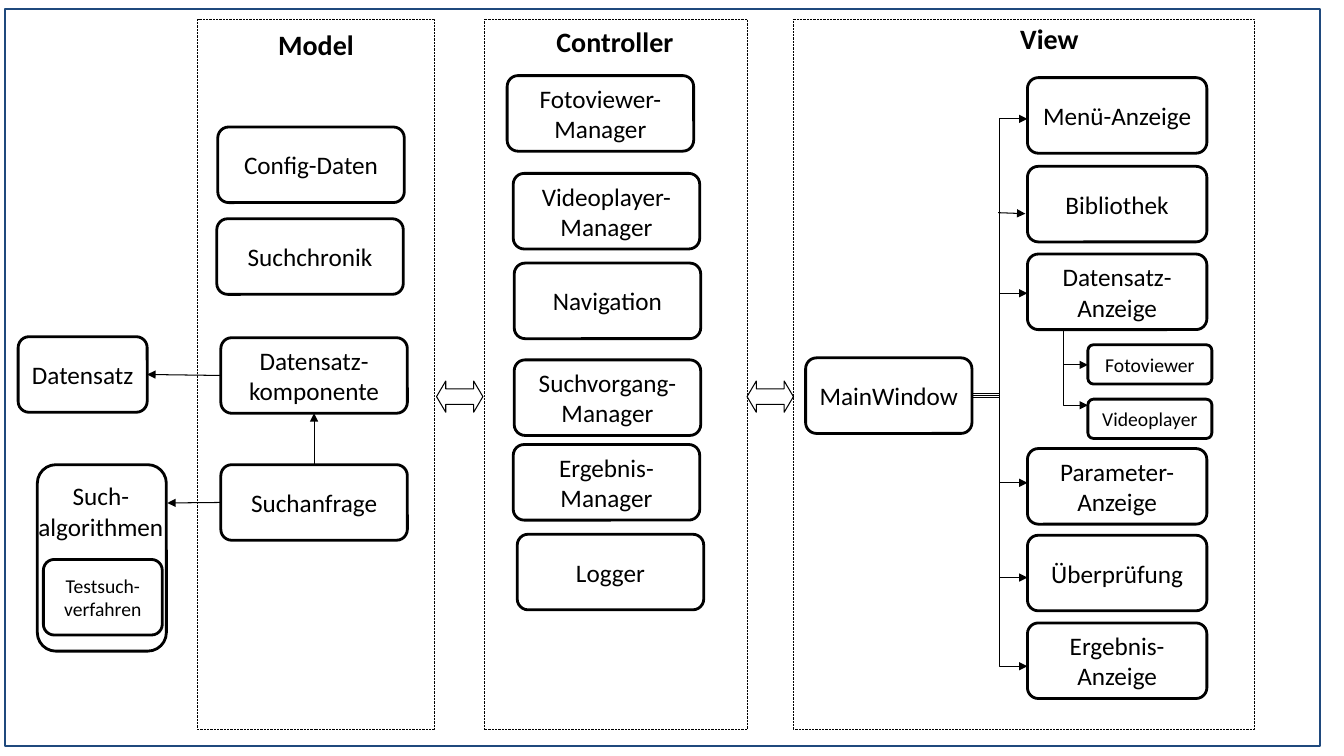
from lxml import etree
from pptx import Presentation
from pptx.dml.color import RGBColor
from pptx.enum.dml import MSO_LINE
from pptx.enum.shapes import MSO_CONNECTOR, MSO_SHAPE
from pptx.enum.text import MSO_ANCHOR, PP_ALIGN
from pptx.oxml.ns import qn
from pptx.util import Inches, Pt

RECT, ROUND = MSO_SHAPE.RECTANGLE, MSO_SHAPE.ROUNDED_RECTANGLE
DOUBLE = MSO_SHAPE.LEFT_RIGHT_ARROW
LINE, ELBOW = MSO_CONNECTOR.STRAIGHT, MSO_CONNECTOR.ELBOW
DOTS, CENTER, LEFT = MSO_LINE.ROUND_DOT, PP_ALIGN.CENTER, PP_ALIGN.LEFT
TOP, MIDDLE = MSO_ANCHOR.TOP, MSO_ANCHOR.MIDDLE
BLACK, WHITE, NAVY = "000000", "FFFFFF", "1F497D"
FONT = "Calibri"

# Content: boxes by group as (width, height, text size, [(text, left, top)])
GROUPS = [
    (1.28, 1.85, 18, [("", 0.37, 4.61)]),
    (1.28, 0.75, 18, [("Datensatz", 0.18, 3.34)]),
    (1.18, 0.75, 14, [("Testsuch-verfahren", 0.43, 5.55)]),
    (1.85, 0.75, 18, [
        ("Config-Daten", 2.16, 1.26),
        ("Suchchronik", 2.15, 2.17),
        ("Datensatz-komponente", 2.19, 3.35),
        ("Suchanfrage", 2.19, 4.61),
        ("Fotoviewer-Manager", 5.03, 0.75),
        ("Videoplayer-Manager", 5.09, 1.72),
        ("Navigation", 5.1, 2.61),
        ("Suchvorgang-Manager", 5.1, 3.57),
        ("Ergebnis-Manager", 5.09, 4.41),
        ("Logger", 5.13, 5.3),
    ]),
    (1.65, 0.75, 18, [("MainWindow", 7.99, 3.55)]),
    (1.78, 0.75, 18, [
        ("Menü-Anzeige", 10.19, 0.77),
        ("Bibliothek", 10.19, 1.65),
        ("Datensatz-Anzeige", 10.19, 2.52),
        ("Parameter-Anzeige", 10.19, 4.45),
        ("Überprüfung", 10.19, 5.31),
        ("Ergebnis-Anzeige", 10.19, 6.18),
    ]),
    (1.23, 0.39, 14, [("Fotoviewer", 10.79, 3.42),
                      ("Videoplayer", 10.79, 3.96)]),
]
PANELS = [(1.96, 2.35), (4.8, 2.61), (7.87, 4.57)]  # left, width
LABELS = [  # text, left, top, width, height, size, bold, alignment
    ("Model", 2.66, 0.22, 1.21, 0.43, 20, True, LEFT),
    ("Controller", 5.42, 0.19, 1.47, 0.43, 20, True, LEFT),
    ("View", 10.02, 0.16, 1.21, 0.43, 20, True, LEFT),
    ("Such-algorithmen", 0.27, 4.72, 1.46, 0.71, 18, False, CENTER),
]
JOINS = [  # from, side, to, side
    ("Datensatz-komponente", 1, "Datensatz", 3),
    ("Suchanfrage", 0, "Datensatz-komponente", 2),
]
FANS = [  # start x, end x, [(start y, end y)]
    (9.64, 10.19, [(3.92, 1.18), (3.9, 2.91), (3.92, 4.79),
                   (3.92, 5.73), (3.94, 6.61)]),
    (10.3, 10.79, [(3.27, 3.62), (3.27, 4.02)]),
]

prs = Presentation()
prs.slide_width, prs.slide_height = Inches(13.33), Inches(7.5)
slide = prs.slides.add_slide(prs.slide_layouts[6])
shapes = slide.shapes


def color(code):
    return RGBColor.from_string(code)


def place(*nums):
    return [Inches(n) for n in nums]


def write(shape, text, size, bold=False, align=CENTER, anchor=MIDDLE):
    frame = shape.text_frame
    frame.word_wrap = True
    frame.vertical_anchor = anchor
    para = frame.paragraphs[0]
    para.text, para.alignment = text, align
    font = para.font
    font.name, font.size, font.bold = FONT, Pt(size), bold
    font.color.rgb = color(BLACK)


def draw(kind, spot, width, line=BLACK, fill=None):
    shape = shapes.add_shape(kind, *place(*spot))
    shape.shadow.inherit = False
    if fill:
        shape.fill.solid()
        shape.fill.fore_color.rgb = color(fill)
    else:
        shape.fill.background()
    shape.line.color.rgb = color(line)
    shape.line.width = Pt(width)
    return shape


def arrow(kind, *ends):
    link = shapes.add_connector(kind, *place(*ends))
    link.line.color.rgb = color(BLACK)
    link.line.width = Pt(0.75)
    etree.SubElement(link.line._get_or_add_ln(), qn("a:tailEnd"), type="triangle")
    etree.SubElement(link._element.spPr, qn("a:effectLst"))
    return link


# Frame and panels
draw(RECT, (0.05, 0.09, 13.04, 7.31), 1.5, NAVY)
for left, wide in PANELS:
    draw(RECT, (left, 0.19, wide, 7.05), 0.5).line.dash_style = DOTS

# Boxes
boxes = {}
for wide, high, size, items in GROUPS:
    for text, left, top in items:
        box = draw(ROUND, (left, top, wide, high), 2, fill=WHITE)
        box.adjustments[0] = 0.144
        if text:
            write(box, text, size)
        boxes[text] = box

# Headings and labels
for text, left, top, wide, high, size, bold, align in LABELS:
    label = shapes.add_textbox(*place(left, top, wide, high))
    write(label, text, size, bold, align, TOP)

# Straight arrows
for start, side, end, face in JOINS:
    link = arrow(LINE, 0, 0, 0, 0)
    link.begin_connect(boxes[start], side)
    link.end_connect(boxes[end], face)
arrow(LINE, 2.19, 4.98, 1.66, 4.99).begin_connect(boxes["Suchanfrage"], 1)
arrow(LINE, 9.9, 2.11, 10.17, 2.12)

# Branching arrows
for x1, x2, rows in FANS:
    for y1, y2 in rows:
        arrow(ELBOW, x1, y1, x2, y2)

# Double arrows between panels
for left in (4.33, 7.41):
    both = draw(DOUBLE, (left, 3.78, 0.46, 0.31), 0)
    both.adjustments[0], both.adjustments[1] = 0.5, 0.295

prs.save("out.pptx")
